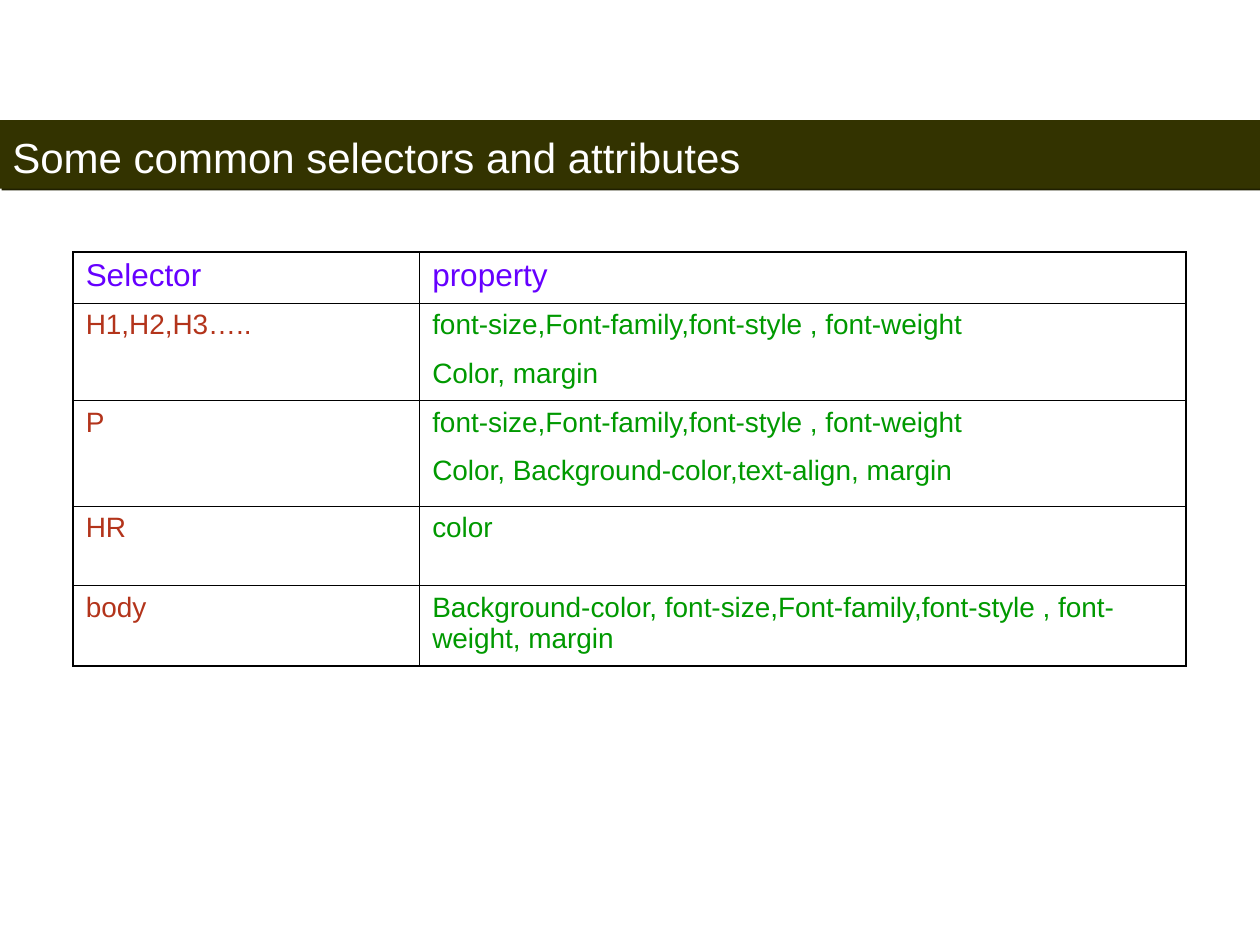
from dataclasses import dataclass

from lxml import etree
from pptx import Presentation
from pptx.dml.color import RGBColor
from pptx.enum import shapes, text
from pptx.oxml import ns
from pptx.util import Pt

FONT = "Arial"
WHITE = RGBColor(0xFF, 0xFF, 0xFF)
BLACK = RGBColor(0x00, 0x00, 0x00)
OLIVE = RGBColor(0x33, 0x33, 0x00)
DARK_OLIVE = RGBColor(0x1F, 0x1F, 0x00)
PURPLE = RGBColor(0x66, 0x00, 0xFF)
RED = RGBColor(0xB3, 0x34, 0x1B)
GREEN = RGBColor(0x00, 0x99, 0x00)

OUTER_LINE, INNER_LINE = Pt(1.08), Pt(0.45)
COLUMN_WIDTHS = (198, 438)


@dataclass(frozen=True)
class TextStyle:
    size: float
    color: RGBColor
    before: float = 0
    after: float = 0


@dataclass(frozen=True)
class Row:
    height: float
    selector: str
    properties: tuple[str, ...]


TITLE = TextStyle(24, WHITE)
HEADER = TextStyle(18, PURPLE, 7.9, 3.4)
SELECTOR = TextStyle(16, RED, 7, 3)
PROPERTY = TextStyle(16, GREEN, 7, 3)

FONT_PROPERTIES = "font-size,Font-family,font-style , font-weight"
ROWS = (
    Row(29.1, "Selector", ("property",)),
    Row(55.8, "H1,H2,H3…..", (FONT_PROPERTIES, "Color, margin")),
    Row(60.4, "P", (FONT_PROPERTIES, "Color, Background-color,text-align, margin")),
    Row(45.4, "HR", ("color",)),
    Row(46, "body", (f"Background-color, {FONT_PROPERTIES}, margin",)),
)


def write_lines(frame, lines: tuple[str, ...], style: TextStyle) -> None:
    frame.word_wrap = True
    for index, line in enumerate(lines):
        paragraph = frame.add_paragraph() if index else frame.paragraphs[0]
        paragraph.text = line
        paragraph.alignment = text.PP_ALIGN.LEFT
        paragraph.space_before = Pt(style.before if index else 0)
        paragraph.space_after = Pt(style.after)
        paragraph.font.name = FONT
        paragraph.font.size = Pt(style.size)
        paragraph.font.color.rgb = style.color


def add_child(parent, tag: str, **attributes):
    values = {name: str(value) for name, value in attributes.items()}
    return etree.SubElement(parent, ns.qn(tag), values)


def add_title_bar(slide) -> None:
    bar = slide.shapes.add_shape(
        shapes.MSO_SHAPE.RECTANGLE, Pt(0), Pt(68.6), Pt(720), Pt(39.2))
    bar.fill.solid()
    bar.fill.fore_color.rgb = OLIVE
    bar.line.fill.background()
    bar.shadow.inherit = False
    effects = bar._element.spPr.find(ns.qn("a:effectLst"))
    shadow = add_child(effects, "a:outerShdw", dist=Pt(1.4), dir=45 * 60000,
                       algn="ctr", rotWithShape=0)
    add_child(shadow, "a:srgbClr", val=DARK_OLIVE)

    frame = bar.text_frame
    write_lines(frame, ("Some common selectors and attributes",), TITLE)
    frame.vertical_anchor = text.MSO_ANCHOR.BOTTOM
    frame.paragraphs[0].line_spacing = 0.9


def set_borders(cell, row: int, column: int) -> None:
    """Draw a heavier line on the sides that lie on the table's edge."""
    on_edge = {
        "a:lnL": column == 0,
        "a:lnR": column == len(COLUMN_WIDTHS) - 1,
        "a:lnT": row == 0,
        "a:lnB": row == len(ROWS) - 1,
    }
    properties = cell._tc.get_or_add_tcPr()
    for tag, outer in on_edge.items():
        line = add_child(properties, tag, w=OUTER_LINE if outer else INNER_LINE)
        add_child(add_child(line, "a:solidFill"), "a:srgbClr", val=BLACK)


def add_selector_table(slide) -> None:
    table = slide.shapes.add_table(
        len(ROWS), len(COLUMN_WIDTHS), Pt(41.8), Pt(144),
        Pt(sum(COLUMN_WIDTHS)), Pt(sum(row.height for row in ROWS))).table
    table.first_row = False
    table.horz_banding = False
    for column, width in zip(table.columns, COLUMN_WIDTHS):
        column.width = Pt(width)
    for row_index, row in enumerate(ROWS):
        table.rows[row_index].height = Pt(row.height)
        styles = (SELECTOR, PROPERTY) if row_index else (HEADER, HEADER)
        contents = ((row.selector,), row.properties)
        for column_index, (lines, style) in enumerate(zip(contents, styles)):
            cell = table.cell(row_index, column_index)
            set_borders(cell, row_index, column_index)
            cell.fill.background()
            write_lines(cell.text_frame, lines, style)


def main() -> None:
    presentation = Presentation()
    presentation.slide_width, presentation.slide_height = Pt(720), Pt(540)
    slide = presentation.slides.add_slide(presentation.slide_layouts[6])
    add_title_bar(slide)
    add_selector_table(slide)
    presentation.save("out.pptx")


if __name__ == "__main__":
    main()
